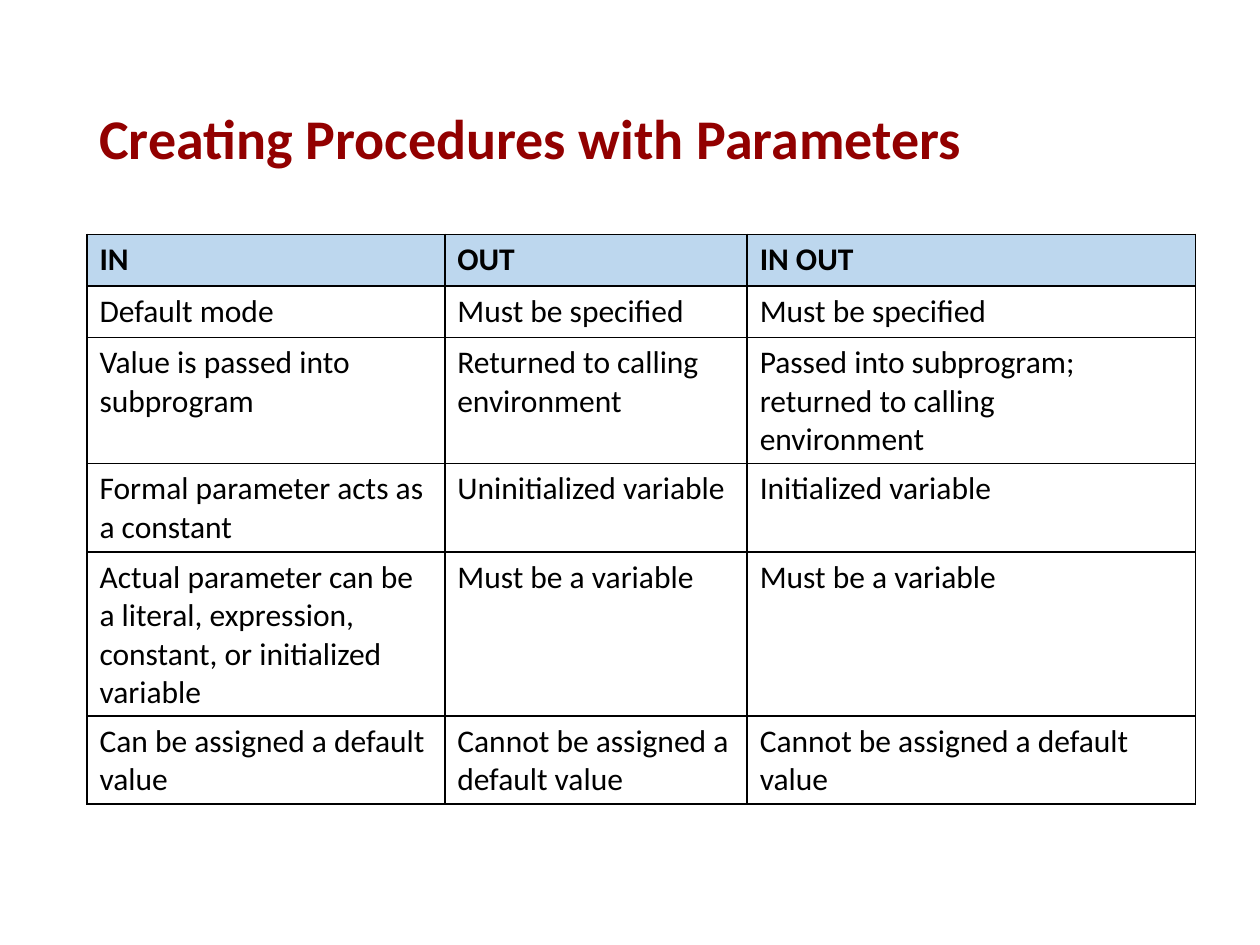
from lxml import etree
from pptx import Presentation
from pptx import util as u
from pptx.dml.color import RGBColor
from pptx.enum import text
from pptx.oxml import ns

DARK_RED = RGBColor(0x92, 0x00, 0x00)
BLACK = RGBColor(0x00, 0x00, 0x00)
PALE_BLUE = RGBColor(0xBD, 0xD7, 0xEE)

MODES = [
    ("IN", "OUT", "IN OUT"),
    ("Default mode", "Must be specified", "Must be specified"),
    ("Value is passed into\nsubprogram",
     "Returned to calling\nenvironment",
     "Passed into subprogram;\nreturned to calling\nenvironment"),
    ("Formal parameter acts as a constant",
     "Uninitialized variable",
     "Initialized variable"),
    ("Actual parameter can be a literal, expression,\n"
     "constant, or initialized\nvariable",
     "Must be a variable",
     "Must be a variable"),
    ("Can be assigned a default value",
     "Cannot be assigned a default value",
     "Cannot be assigned a default value"),
]
COLUMN_WIDTHS = (2.84, 2.4, 3.56)
ROW_HEIGHT = 0.41


def style_text(frame, size, color, bold):
    """Apply one font to every paragraph of a text frame."""
    font_values = {"name": "Calibri", "size": u.Pt(size), "bold": bold}
    for paragraph in frame.paragraphs:
        for attribute, value in font_values.items():
            setattr(paragraph.font, attribute, value)
        paragraph.font.color.rgb = color


def add_borders(cell, color, width):
    """Draw a solid line on all four sides of a cell."""
    properties = cell._tc.get_or_add_tcPr()
    for side in ("lnL", "lnR", "lnT", "lnB"):
        line = etree.SubElement(properties, ns.qn(f"a:{side}"), w=str(u.Pt(width)))
        fill = etree.SubElement(line, ns.qn("a:solidFill"))
        etree.SubElement(fill, ns.qn("a:srgbClr"), val=str(color))


def add_title(slide, left, top, width, height):
    """Place the slide title in the given box."""
    title = slide.shapes.add_textbox(left, top, width, height).text_frame
    frame_values = {
        "word_wrap": True,
        "vertical_anchor": text.MSO_ANCHOR.MIDDLE,
        "text": "Creating Procedures with Parameters",
    }
    for attribute, value in frame_values.items():
        setattr(title, attribute, value)
    title.paragraphs[0].line_spacing = 0.9
    style_text(title, 32, DARK_RED, True)


def add_mode_table(slide, left, top, width, height):
    """Place the table of parameter modes in the given box."""
    frame = slide.shapes.add_table(
        len(MODES), len(COLUMN_WIDTHS), left, top, width, height)
    modes = frame.table
    for column, share in zip(modes.columns, COLUMN_WIDTHS):
        column.width = int(width * share / sum(COLUMN_WIDTHS))
    for row, wordings in zip(modes.rows, MODES):
        row.height = u.Inches(ROW_HEIGHT)
        is_header = wordings is MODES[0]
        for cell, wording in zip(row.cells, wordings):
            cell.text = wording
            style_text(cell.text_frame, 18, BLACK, is_header)
            add_borders(cell, BLACK, 1)
            if is_header:
                cell.fill.solid()
                cell.fill.fore_color.rgb = PALE_BLUE
            else:
                cell.fill.background()
    frame.height = height


def main():
    """Build and save the slide."""
    deck = Presentation()
    deck.slide_width, deck.slide_height = u.Inches(10), u.Inches(7.5)
    slide = deck.slides.add_slide(deck.slide_layouts[6])
    add_title(slide, u.Inches(0.69), u.Inches(0.4), u.Inches(8.62), u.Inches(1.45))
    add_mode_table(slide, u.Inches(0.69), u.Inches(1.86), u.Inches(8.8), u.Inches(4.51))
    deck.save("out.pptx")


if __name__ == "__main__":
    main()
